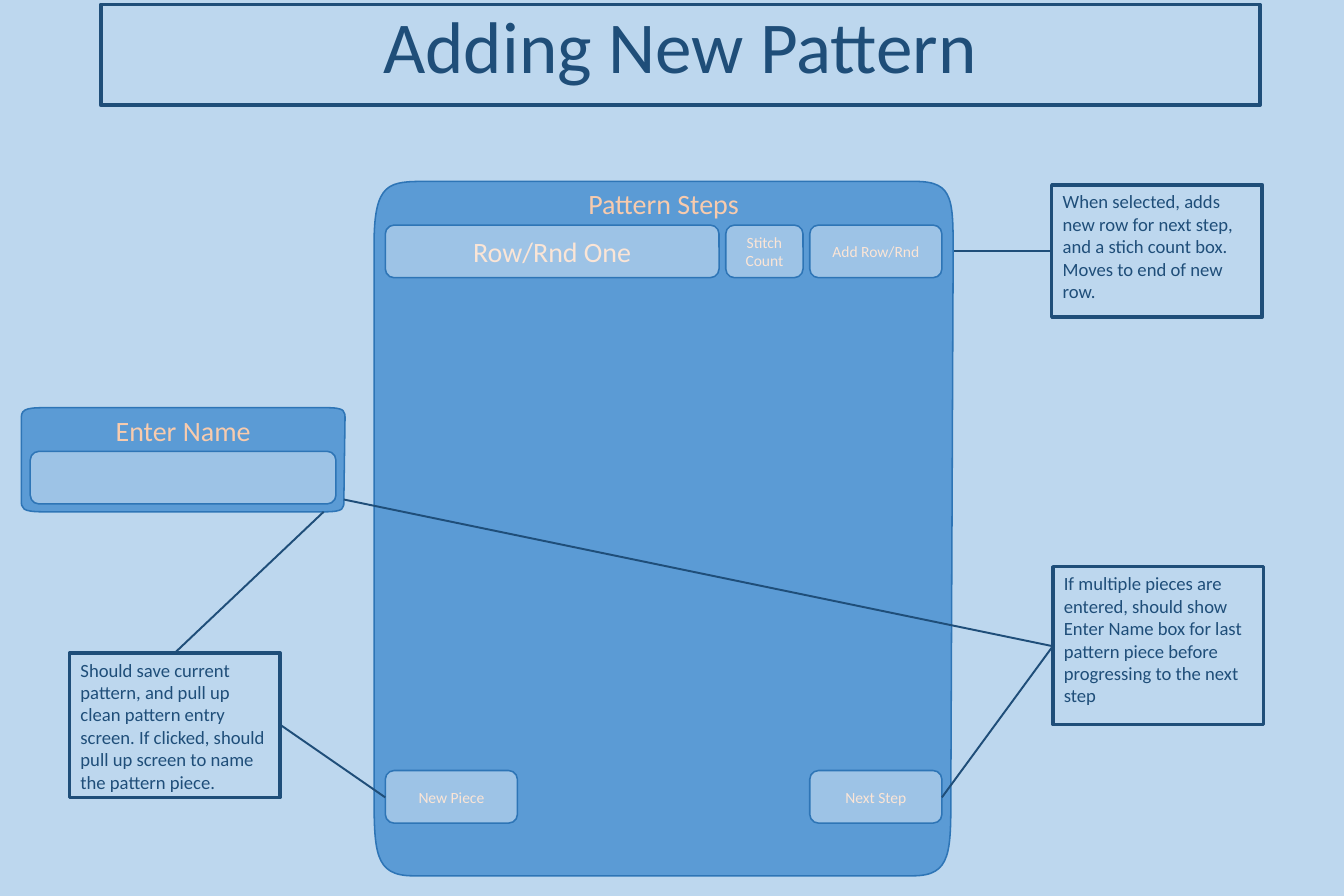
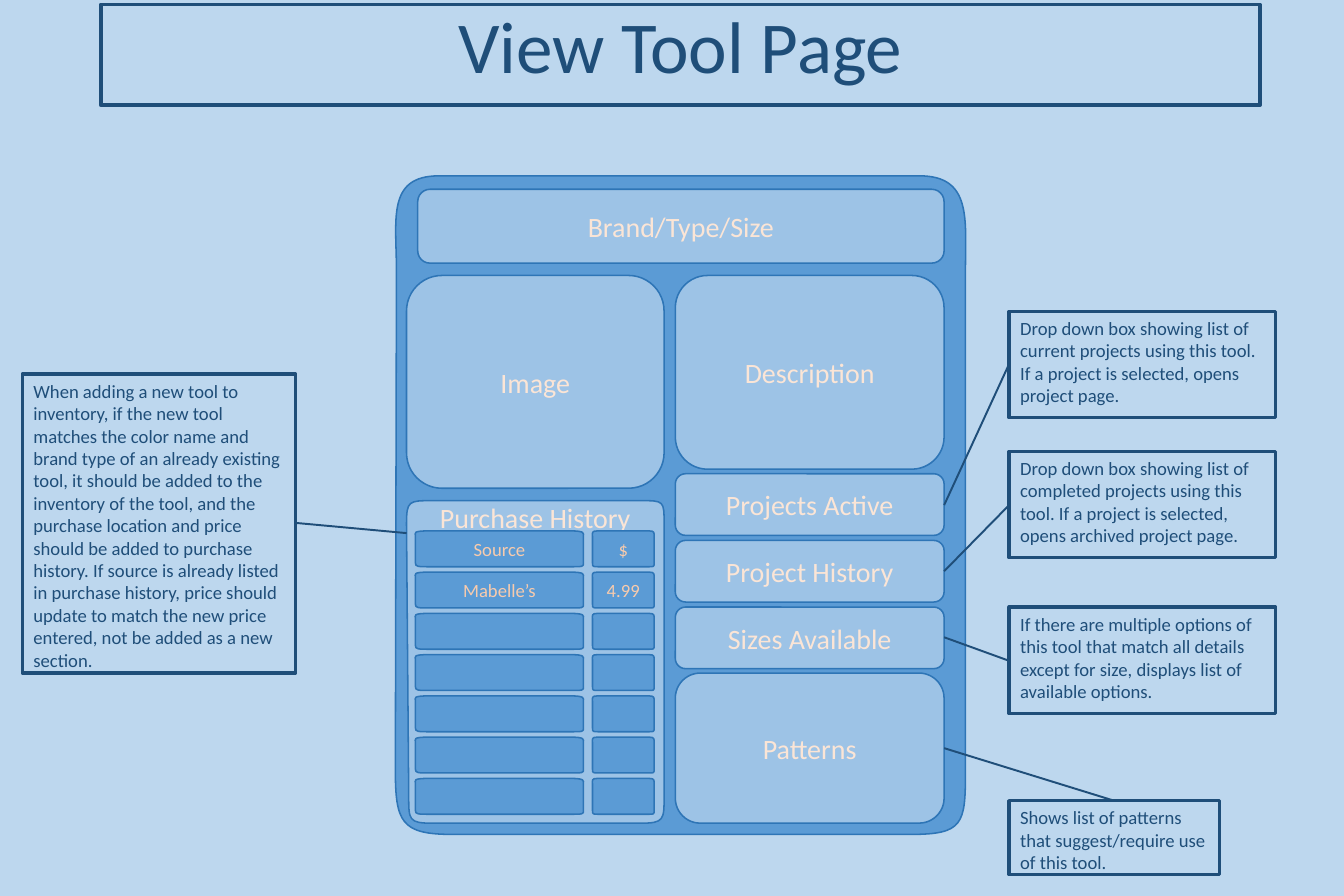
from lxml import etree
from pptx import Presentation
from pptx.dml.color import RGBColor
from pptx.enum import shapes, text as txt
from pptx.oxml.ns import qn
from pptx.util import Inches, Pt

FONT = "Calibri"
SKY, NAVY, EDGE = "BDD7EE", "1F4E79", "2E75B6"
BLUE, LIGHT_BLUE, PEACH, CREAM = "5B9BD5", "9DC3E6", "F8CBAD", "FBE5D6"
RECT, ROUND = shapes.MSO_SHAPE.RECTANGLE, shapes.MSO_SHAPE.ROUNDED_RECTANGLE
LEFT, CENTER = txt.PP_ALIGN.LEFT, txt.PP_ALIGN.CENTER
TOP, MIDDLE = txt.MSO_ANCHOR.TOP, txt.MSO_ANCHOR.MIDDLE

NOTE = dict(kind=RECT, line=NAVY, weight=2.25, color=NAVY, size=12)
TITLE = {**NOTE, "size": 47, "align": CENTER, "spacing": 0.9}
FIELD = dict(kind=ROUND, fill=LIGHT_BLUE, color=CREAM, align=CENTER, anchor=MIDDLE)
PANEL = dict(fill=BLUE, color=PEACH, align=CENTER)
CELL = {**PANEL, "size": 12, "anchor": MIDDLE}


def paint(color_format, color):
    color_format.rgb = RGBColor.from_string(color)


def add_box(parent, text, place=None, corners=None, kind=ROUND, fill=None, line=EDGE,
            weight=1, color=NAVY, size=18, align=LEFT, anchor=TOP, spacing=None,
            top_margin=0.05):
    """Add a preset shape at place, or an outline joining four curved corners.

    Corners run clockwise from the top left, each as four Bezier points in inches.
    """
    if corners:
        corners = [[(Inches(x), Inches(y)) for x, y in corner] for corner in corners]
        ends = [point for corner in corners for point in (corner[0], corner[3])]
        builder = parent.shapes.build_freeform(*ends[0])
        builder.add_line_segments(ends[1:], close=True)
        box = builder.convert_to_shape()
        straight = list(box._element.iter(qn("a:lnTo")))
        for segment, corner in zip(straight[::2], corners):
            curve = etree.Element(qn("a:cubicBezTo"))
            for x, y in corner[1:]:
                etree.SubElement(curve, qn("a:pt"), x=str(x - box.left), y=str(y - box.top))
            segment.getparent().replace(segment, curve)
    else:
        box = parent.shapes.add_shape(kind, *[Inches(length) for length in place])
    box.shadow.inherit = False
    if fill:
        box.fill.solid()
        paint(box.fill.fore_color, fill)
    else:
        box.fill.background()
    paint(box.line.color, line)
    box.line.width = Pt(weight)
    if text:
        frame = box.text_frame
        frame.word_wrap = True
        frame.vertical_anchor = anchor
        frame.margin_top = Inches(top_margin)
        paragraph = frame.paragraphs[0]
        paragraph.alignment = align
        paragraph.line_spacing = spacing
        run = paragraph.add_run()
        run.text = text
        run.font.name = FONT
        run.font.size = Pt(size)
        paint(run.font.color, color)


prs = Presentation()
prs.slide_width, prs.slide_height = Inches(12), Inches(8)
pages = []
for heading in ("Adding New Pattern", "View Tool Page"):
    page = prs.slides.add_slide(prs.slide_layouts[6])
    page.background.fill.solid()
    paint(page.background.fill.fore_color, SKY)
    add_box(page, heading, (0.9, 0.04, 10.35, 0.9), **TITLE)
    pages.append(page)
pattern_page, tool_page = pages

# Notes, and the lines that lead from them
for page, note, place in (
        (pattern_page, "When selected, adds new row for next step, and a stich count box. "
         "Moves to end of new row.", (9.39, 1.65, 1.88, 1.18)),
        (pattern_page, "Should save current pattern, and pull up clean pattern entry screen. "
         "If clicked, should pull up screen to name the pattern piece.",
         (0.62, 5.83, 1.88, 1.29)),
        (pattern_page, "If multiple pieces are entered, should show Enter Name box for last "
         "pattern piece before progressing to the next step", (9.4, 5.06, 1.88, 1.41)),
        (tool_page, "Shows list of patterns that suggest/require use of this tool.",
         (9.01, 7.15, 1.88, 0.66)),
        (tool_page, "Drop down box showing list of current projects using this tool. "
         "If a project is selected, opens project page.", (9.01, 2.78, 2.38, 0.95)),
        (tool_page, "Drop down box showing list of completed projects using this tool. "
         "If a project is selected, opens archived project page.",
         (9.01, 4.03, 2.38, 0.95)),
        (tool_page, "If there are multiple options of this tool that match all details "
         "except for size, displays list of available options.", (9.01, 5.42, 2.38, 0.95)),
        (tool_page, "When adding a new tool to inventory, if the new tool matches the color "
         "name and brand type of an already existing tool, it should be added to the "
         "inventory of the tool, and the purchase location and price should be added to "
         "purchase history. If source is already listed in purchase history, price should "
         "update to match the new price entered, not be added as a new section.",
         (0.2, 3.34, 2.44, 2.67))):
    add_box(page, note, place, **NOTE)

leaders = []
for page, ends in (
        (pattern_page, (9.4, 2.24, 8.41, 2.24)),
        (pattern_page, (3.44, 7.12, 2.5, 6.47)),
        (pattern_page, (2.89, 4.57, 1.56, 5.83)),
        (pattern_page, (9.4, 5.77, 3.07, 4.46)),
        (pattern_page, (8.41, 7.12, 9.4, 5.77)),
        (tool_page, (8.43, 6.68, 9.95, 7.15)),
        (tool_page, (8.43, 4.51, 9.01, 3.25)),
        (tool_page, (8.43, 5.1, 9.01, 4.51)),
        (tool_page, (8.43, 5.69, 9.01, 5.9)),
        (tool_page, (2.65, 4.67, 3.63, 4.76))):
    leader = page.shapes.add_connector(shapes.MSO_CONNECTOR.STRAIGHT,
                                       *[Inches(end) for end in ends])
    paint(leader.line.color, NAVY)
    leader.line.width = Pt(1.25)
    etree.SubElement(leader._element.spPr, qn("a:effectLst"))
    leaders.append(leader)

# Adding a pattern: steps panel and name panel
steps = pattern_page.shapes.add_group_shape()
add_box(steps, "Pattern Steps", corners=[
    [(3.34, 2.19), (3.34, 1.62), (3.47, 1.62), (3.82, 1.62)],
    [(8.17, 1.62), (8.53, 1.62), (8.51, 1.79), (8.51, 2.36)],
    [(8.49, 7.04), (8.49, 7.61), (8.5, 7.82), (8.15, 7.82)],
    [(3.69, 7.82), (3.34, 7.82), (3.34, 7.61), (3.34, 7.04)]], **PANEL)
for label, left, top, width, size in (
        ("Row/Rnd One", 3.44, 2.01, 2.98, 18),
        ("Stitch Count", 6.48, 2.01, 0.69, 10),
        ("Add Row/Rnd", 7.23, 2.01, 1.18, 10),
        ("New Piece", 3.44, 6.88, 1.18, 10),
        ("Next Step", 7.23, 6.88, 1.18, 10)):
    add_box(steps, label, (left, top, width, 0.47), size=size, **FIELD)
name_entry = pattern_page.shapes.add_group_shape()
add_box(name_entry, "Enter Name", corners=[
    [(0.19, 3.73), (0.19, 3.64), (0.26, 3.64), (0.46, 3.64)],
    [(2.9, 3.64), (3.09, 3.64), (3.08, 3.67), (3.08, 3.75)],
    [(3.07, 4.46), (3.07, 4.54), (3.08, 4.57), (2.89, 4.57)],
    [(0.39, 4.57), (0.19, 4.57), (0.19, 4.54), (0.19, 4.46)]], **PANEL)
add_box(name_entry, "", (0.27, 4.03, 2.73, 0.47), **FIELD)

# Tool page: outer panel and its fields
add_box(tool_page, "", corners=[
    [(3.54, 2.42), (3.54, 1.96), (3.45, 1.57), (3.92, 1.57)],
    [(8.21, 1.57), (8.68, 1.57), (8.62, 1.96), (8.62, 2.42)],
    [(8.62, 6.89), (8.62, 7.36), (8.6, 7.45), (8.13, 7.45)],
    [(4.04, 7.45), (3.58, 7.45), (3.53, 7.34), (3.53, 6.87)]], **PANEL)
for label, place in (
        ("Brand/Type/Size", (3.73, 1.69, 4.7, 0.66)),
        ("Image", (3.63, 2.46, 2.3, 1.9)),
        ("Description", (6.03, 2.46, 2.4, 1.73)),
        ("Patterns", (6.03, 6.01, 2.4, 1.34))):
    add_box(tool_page, label, place, **FIELD)
dropdowns = ("Projects Active", "Project History", "Sizes Available")
dropdown_pitch = (5.42 - 4.23) / (len(dropdowns) - 1)
for row, label in enumerate(dropdowns):
    add_box(tool_page, label, (6.03, 4.23 + row * dropdown_pitch, 2.4, 0.55), **FIELD)

# Purchase history: two columns of cells
add_box(tool_page, "Purchase History", corners=[
    [(3.63, 4.68), (3.63, 4.47), (3.65, 4.47), (3.86, 4.47)],
    [(5.72, 4.47), (5.93, 4.47), (5.93, 4.47), (5.93, 4.68)],
    [(5.93, 7.11), (5.93, 7.32), (5.93, 7.35), (5.72, 7.35)],
    [(3.86, 7.35), (3.65, 7.35), (3.65, 7.32), (3.65, 7.11)]],
    fill=LIGHT_BLUE, color=CREAM, align=CENTER, top_margin=0)
cell_corners = [  # as shares of the cell's width and height
    [(0, 0.15), (0, 0.06), (-0.02, 0), (0.08, 0)],
    [(0.92, 0), (1.01, 0), (1, 0.06), (1, 0.15)],
    [(1, 0.9), (1, 1), (1, 1), (0.91, 1)],
    [(0.1, 1), (0.01, 1), (0, 1), (0, 0.9)]]
purchases = [("Source", "$"), ("Mabelle’s", "4.99")] + [("", "")] * 5
row_pitch = (6.95 - 4.74) / (len(purchases) - 1)
for row, purchase in enumerate(purchases):
    top = 4.74 + row * row_pitch
    entry = tool_page.shapes.add_group_shape()
    for value, left, width in zip(purchase, (3.71, 5.29), (1.5, 0.55)):
        add_box(entry, value, corners=[
            [(left + x * width, top + y * 0.32) for x, y in corner]
            for corner in cell_corners], **CELL)

# All lines but the first lie over the panels
for leader in leaders[1:]:
    tree = leader._element.getparent()
    tree.append(leader._element)

prs.save("out.pptx")
